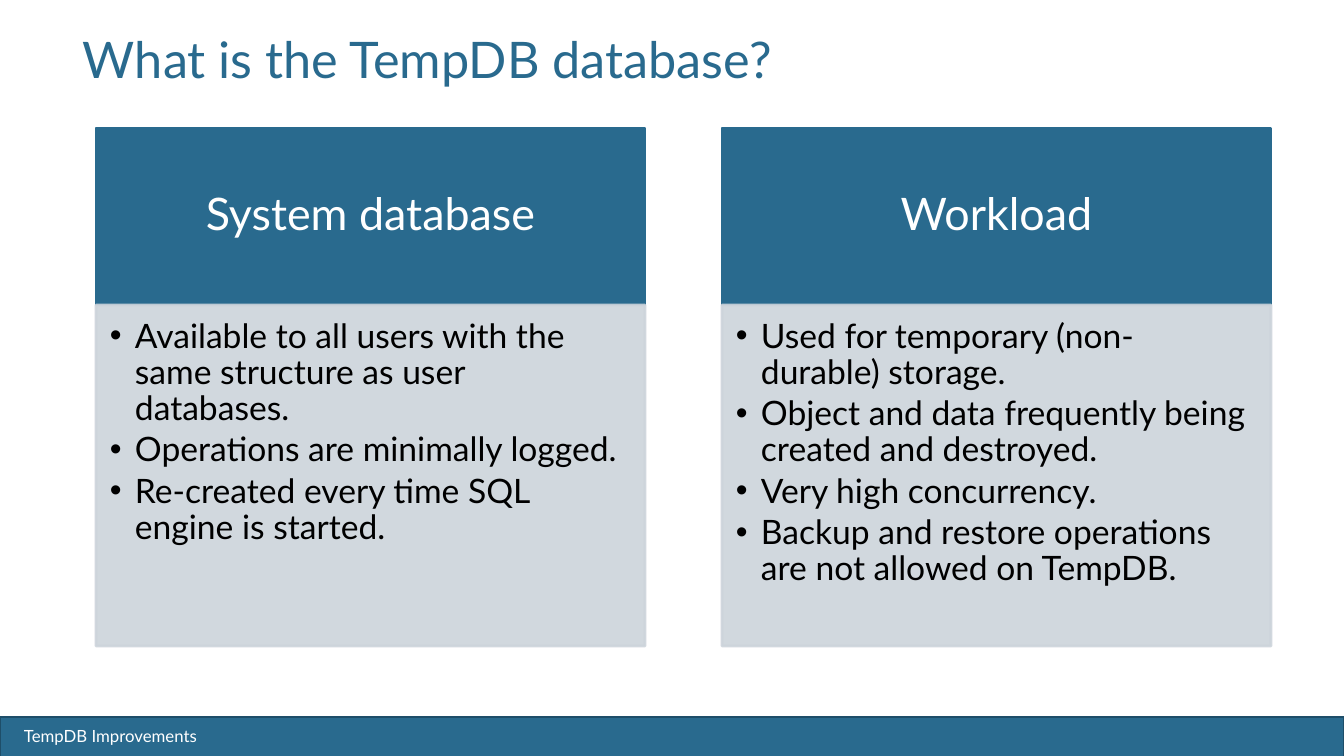
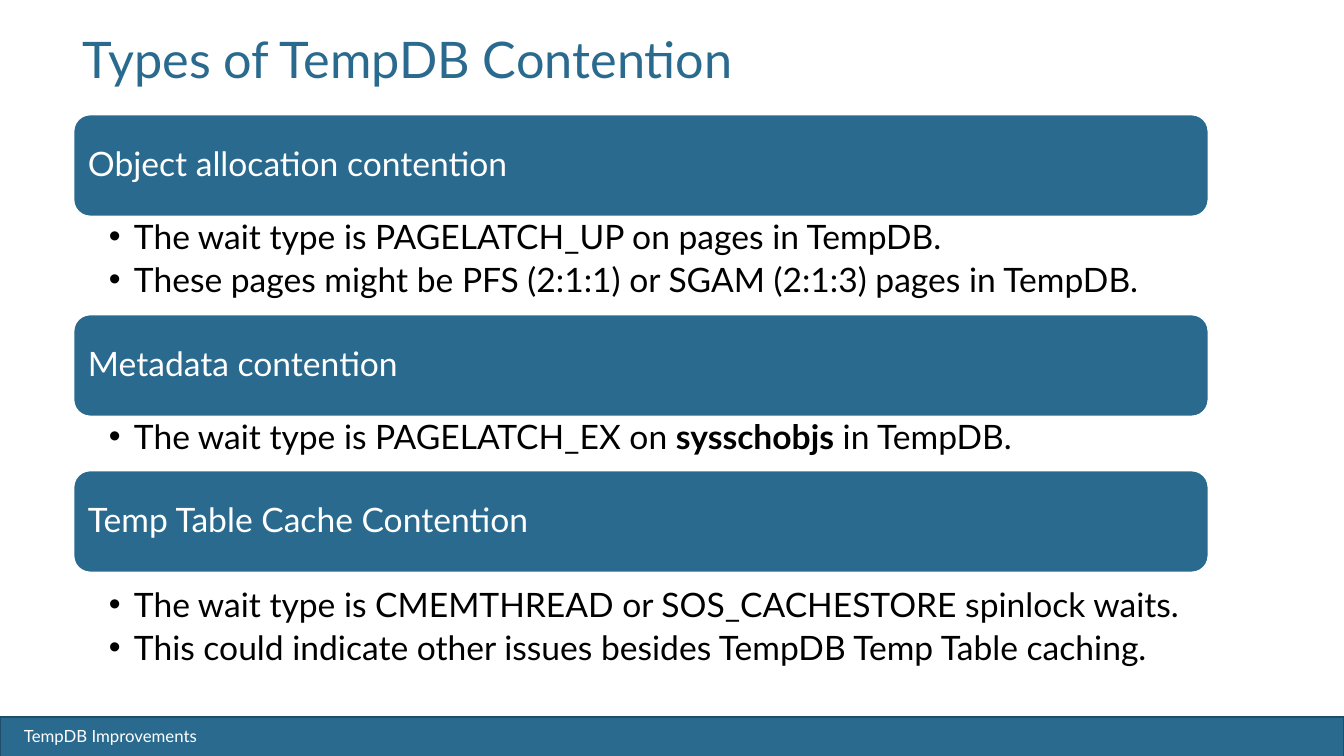
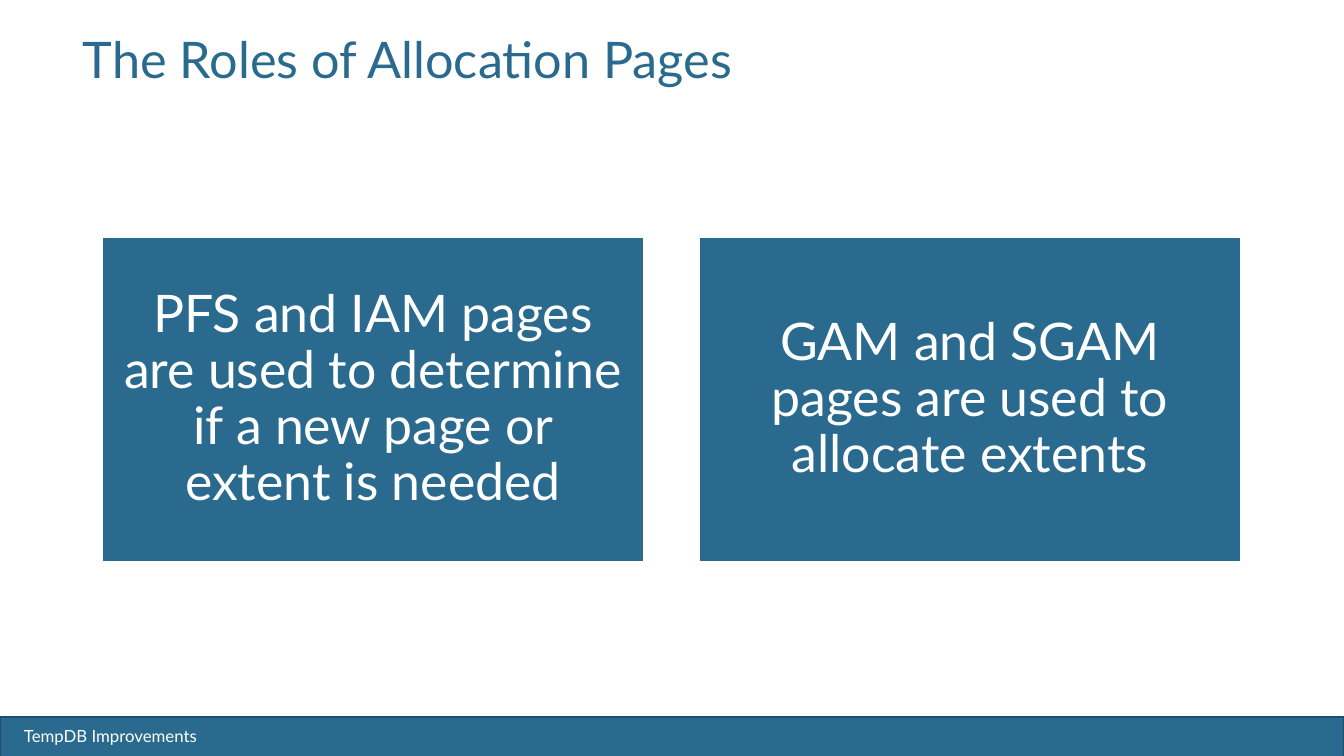
from dataclasses import dataclass

from lxml import etree
from pptx import Presentation
from pptx.dml.color import RGBColor
from pptx.enum.shapes import MSO_SHAPE
from pptx.enum.text import MSO_ANCHOR, MSO_AUTO_SIZE, PP_ALIGN
from pptx.oxml.ns import qn
from pptx.util import Pt

SLIDE_WIDTH, SLIDE_HEIGHT = 1344, 756
EMU_PER_PX = 12192000 / SLIDE_WIDTH
TITLE_ONLY = 5
RECTANGLE, ROUNDED = MSO_SHAPE.RECTANGLE, MSO_SHAPE.ROUNDED_RECTANGLE
TOP, MIDDLE = MSO_ANCHOR.TOP, MSO_ANCHOR.MIDDLE
LEFT, CENTER = PP_ALIGN.LEFT, PP_ALIGN.CENTER
NO_FIT, GROW = MSO_AUTO_SIZE.NONE, MSO_AUTO_SIZE.SHAPE_TO_FIT_TEXT


@dataclass(frozen=True)
class Theme:
    font: str = "Lato"
    primary: str = "296A8E"
    band_edge: str = "1E4E69"
    panel: str = "CDD4DB"
    light: str = "FFFFFF"
    dark: str = "000000"
    title_size: int = 36
    statement_size: int = 37
    card_size: int = 32
    body_size: int = 24
    footer_size: int = 12
    line_width: int = 2


def px(length):
    return round(length * EMU_PER_PX)


def set_values(target, values):
    for name, value in values.items():
        setattr(target, name, value)


def set_opacity(shape, percent):
    """Apply one opacity to the fill and the outline."""
    for color in shape.element.spPr.iter(qn("a:srgbClr")):
        etree.SubElement(color, qn("a:alpha"), val=str(percent * 1000))


def add_bullet(paragraph, indent):
    properties = paragraph._p.get_or_add_pPr()
    properties.set("marL", str(px(indent)))
    properties.set("indent", str(-px(indent)))
    etree.SubElement(properties, qn("a:buFont"), typeface="Arial")
    etree.SubElement(properties, qn("a:buChar"), char="•")


class Deck:
    def __init__(self, theme):
        self.theme = theme
        self.presentation = Presentation()
        self.presentation.slide_width = px(SLIDE_WIDTH)
        self.presentation.slide_height = px(SLIDE_HEIGHT)
        self.slide = None

    def new_slide(self, title, title_width=1200):
        theme = self.theme
        layout = self.presentation.slide_layouts[TITLE_ONLY]
        self.slide = self.presentation.slides.add_slide(layout)
        self.box(RECTANGLE, (0, 717, SLIDE_WIDTH, 40), theme.primary, theme.band_edge)
        self.text_box((14, 721, 257, 30), ["TempDB Improvements"],
                      size=theme.footer_size, color=theme.light, spacing=1.0, fit=GROW)
        placeholder = self.slide.shapes.title
        bounds = (73, 35, title_width, 50)
        set_values(placeholder, dict(zip(("left", "top", "width", "height"), map(px, bounds))))
        self.put_text(placeholder, [title], size=theme.title_size,
                      color=theme.primary, spacing=Pt(35))

    def box(self, kind, bounds, fill, line):
        shape = self.slide.shapes.add_shape(kind, *map(px, bounds))
        shape.shadow.inherit = False
        shape.fill.solid()
        shape.fill.fore_color.rgb = RGBColor.from_string(fill)
        shape.line.color.rgb = RGBColor.from_string(line)
        shape.line.width = Pt(self.theme.line_width)
        return shape

    def text_box(self, bounds, paragraphs, **style):
        shape = self.slide.shapes.add_textbox(*map(px, bounds))
        self.put_text(shape, paragraphs, **style)

    def put_text(self, shape, paragraphs, size, color, insets=(10, 5, 10, 5), anchor=TOP,
                 align=LEFT, spacing=0.9, space_after=0, bullet_indent=0, fit=NO_FIT):
        """Fill a shape with paragraphs; text between ** marks is bold."""
        frame = shape.text_frame
        sides = ("margin_left", "margin_top", "margin_right", "margin_bottom")
        set_values(frame, {"word_wrap": True, "auto_size": fit, "vertical_anchor": anchor,
                           **dict(zip(sides, map(px, insets)))})
        for index, text in enumerate(paragraphs):
            paragraph = frame.add_paragraph() if index else frame.paragraphs[0]
            set_values(paragraph, {"alignment": align, "line_spacing": spacing,
                                   "space_before": Pt(0), "space_after": Pt(space_after)})
            if bullet_indent:
                add_bullet(paragraph, bullet_indent)
            for part, words in enumerate(text.split("**")):
                run = paragraph.add_run()
                run.text = words
                set_values(run.font, {"name": self.theme.font, "size": Pt(size),
                                      "bold": part % 2 == 1})
                run.font.color.rgb = RGBColor.from_string(color)

    def card(self, left, heading, bullets):
        theme = self.theme
        header = self.box(RECTANGLE, (left, 128, 549, 177), theme.primary, theme.primary)
        self.put_text(header, [heading], size=theme.card_size, color=theme.light,
                      insets=(25, 14, 25, 14), anchor=MIDDLE, align=CENTER)
        panel = self.box(RECTANGLE, (left, 305, 549, 341), theme.panel, theme.panel)
        set_opacity(panel, 90)
        self.put_text(panel, bullets, size=theme.body_size, color=theme.dark,
                      insets=(14, 14, 19, 21), space_after=3.6, bullet_indent=25)

    def section(self, top, heading, body_top, bullets):
        theme = self.theme
        header = self.box(ROUNDED, (73, top, 1136, 103), theme.primary, theme.light)
        self.put_text(header, [heading], size=theme.body_size, color=theme.light,
                      insets=(10, 10, 10, 10), anchor=MIDDLE)
        self.text_box((73, body_top, 1136, 97), bullets, size=theme.body_size,
                      color=theme.dark, insets=(36, 3, 19, 3), space_after=4.8,
                      bullet_indent=25)

    def statement(self, left, text):
        theme = self.theme
        shape = self.box(RECTANGLE, (left, 237, 542, 325), theme.primary, theme.light)
        self.put_text(shape, [text], size=theme.statement_size, color=theme.light,
                      insets=(15, 15, 15, 15), anchor=MIDDLE, align=CENTER)


CARDS = [
    ("System database", [
        "Available to all users with the same structure as user databases.",
        "Operations are minimally logged.",
        "Re-created every time SQL engine is started.",
    ]),
    ("Workload", [
        "Used for temporary (non-durable) storage.",
        "Object and data frequently being created and destroyed.",
        "Very high concurrency.",
        "Backup and restore operations are not allowed on TempDB.",
    ]),
]
SECTIONS = [
    (114, "Object allocation contention", 217, [
        "The wait type is PAGELATCH_UP on pages in TempDB.",
        "These pages might be PFS (2:1:1) or SGAM (2:1:3) pages in TempDB.",
    ]),
    (314, "Metadata contention", 417, [
        "The wait type is PAGELATCH_EX on **sysschobjs** in TempDB.",
    ]),
    (470, "Temp Table Cache Contention", 585, [
        "The wait type is CMEMTHREAD or SOS_CACHESTORE spinlock waits.",
        "This could indicate other issues besides TempDB Temp Table caching.",
    ]),
]
STATEMENTS = [
    "PFS and IAM pages are used to determine if a new page or extent is needed",
    "GAM and SGAM pages are used to allocate extents",
]


def main():
    deck = Deck(Theme())

    deck.new_slide("What is the TempDB database?")
    for column, (heading, bullets) in enumerate(CARDS):
        deck.card(96 + column * 626, heading, bullets)

    deck.new_slide("Types of TempDB Contention", title_width=1074)
    for section in SECTIONS:
        deck.section(*section)

    deck.new_slide("The Roles of Allocation Pages")
    for column, text in enumerate(STATEMENTS):
        deck.statement(102 + column * 597, text)

    deck.presentation.save("out.pptx")


if __name__ == "__main__":
    main()
